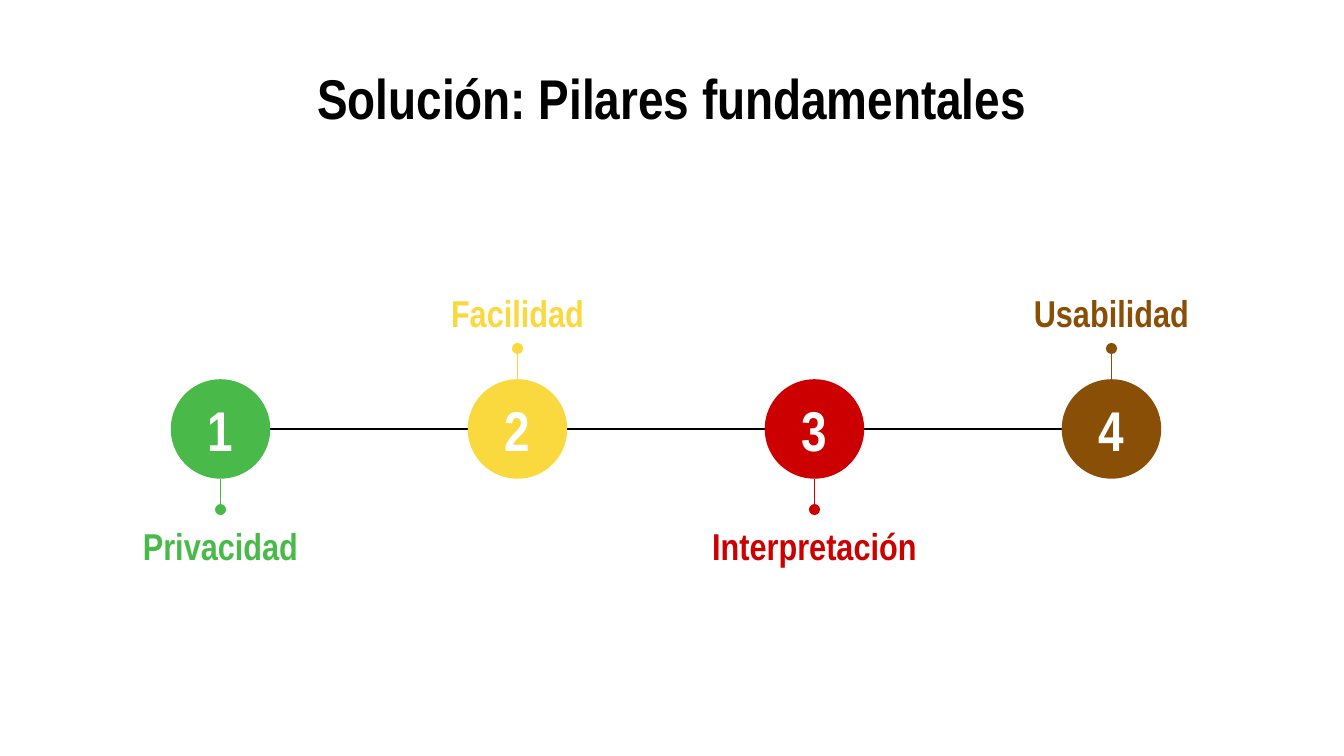
from dataclasses import dataclass

from lxml.etree import SubElement
from pptx import Presentation
from pptx.dml.color import RGBColor
from pptx.enum.shapes import MSO_CONNECTOR, MSO_SHAPE
from pptx.enum.text import MSO_ANCHOR, PP_ALIGN
from pptx.oxml.ns import qn
from pptx.util import Pt


@dataclass(frozen=True)
class Theme:
    font: str = "Arial Narrow"
    title_size: int = 30
    label_size: int = 20
    ink: str = "000000"
    white: str = "FFFFFF"
    green: str = "49BA49"
    yellow: str = "F9D93D"
    red: str = "CC0000"
    brown: str = "8A4F07"


THEME = Theme()
PILLARS = [
    ("Privacidad", THEME.green, 197),
    ("Facilidad", THEME.yellow, 197),
    ("Interpretación", THEME.red, 172),
    ("Usabilidad", THEME.brown, 197),
]
PIN_LENGTH = 16.5
LABEL_HEIGHT = 53.3
LABEL_RISE = 54.7


def write_text(shape, text, size, color, anchor):
    frame = shape.text_frame
    frame.word_wrap = True
    frame.vertical_anchor = anchor
    frame.margin_left = frame.margin_right = Pt(7.2)
    frame.margin_top = frame.margin_bottom = Pt(7.2)
    para = frame.paragraphs[0]
    para.text = text
    para.alignment = PP_ALIGN.CENTER
    para.font.name = THEME.font
    para.font.size = Pt(size)
    para.font.bold = True
    para.font.color.rgb = RGBColor.from_string(color)
    return para


def add_label(page, box, text, size, color, anchor=MSO_ANCHOR.TOP):
    label = page.shapes.add_textbox(*map(Pt, box))
    return write_text(label, text, size, color, anchor)


def add_line(page, start, end, color, width, oval_end=False):
    line = page.shapes.add_connector(MSO_CONNECTOR.STRAIGHT, *map(Pt, start + end))
    line.line.color.rgb = RGBColor.from_string(color)
    line.line.width = Pt(width)
    if oval_end:
        SubElement(line.line._get_or_add_ln(), qn("a:tailEnd"), type="oval")
    SubElement(line._element.spPr, qn("a:effectLst"))


def add_title(page, box):
    para = add_label(page, box, "Solución: Pilares fundamentales",
                     THEME.title_size, THEME.ink, MSO_ANCHOR.MIDDLE)
    para.line_spacing = 0.5


def add_pillar(page, box, number, name, color, label_width, above):
    left, top, width, height = box
    circle = page.shapes.add_shape(MSO_SHAPE.OVAL, *map(Pt, box))
    circle.shadow.inherit = False
    circle.fill.solid()
    circle.fill.fore_color.rgb = RGBColor.from_string(color)
    circle.line.fill.background()
    write_text(circle, str(number), THEME.title_size, THEME.white, MSO_ANCHOR.MIDDLE)

    center = left + width / 2
    edge = top if above else top + height
    tip = edge - PIN_LENGTH if above else edge + PIN_LENGTH
    add_line(page, (center, edge), (center, tip), color, 0.75, oval_end=True)
    label_top = top - LABEL_RISE if above else tip
    label_box = (center - label_width / 2, label_top, label_width, LABEL_HEIGHT)
    add_label(page, label_box, name, THEME.label_size, color)


def add_timeline(page, box):
    left, top, width, diameter = box
    pitch = (width - diameter) / (len(PILLARS) - 1)
    middle = top + diameter / 2
    for index, (name, color, label_width) in enumerate(PILLARS):
        x = left + index * pitch
        if index:
            add_line(page, (x - pitch + diameter, middle), (x, middle), THEME.ink, 1.5)
        add_pillar(page, (x, top, diameter, diameter), index + 1, name, color,
                   label_width, above=index % 2 == 1)


def main():
    deck = Presentation()
    deck.slide_width, deck.slide_height = Pt(720), Pt(405)
    page = deck.slides.add_slide(deck.slide_layouts[6])
    add_title(page, (56.2, 42.5, 607.7, 32.4))
    add_timeline(page, (91.5, 203.2, 530.6, 53.3))
    deck.save("out.pptx")


if __name__ == "__main__":
    main()
